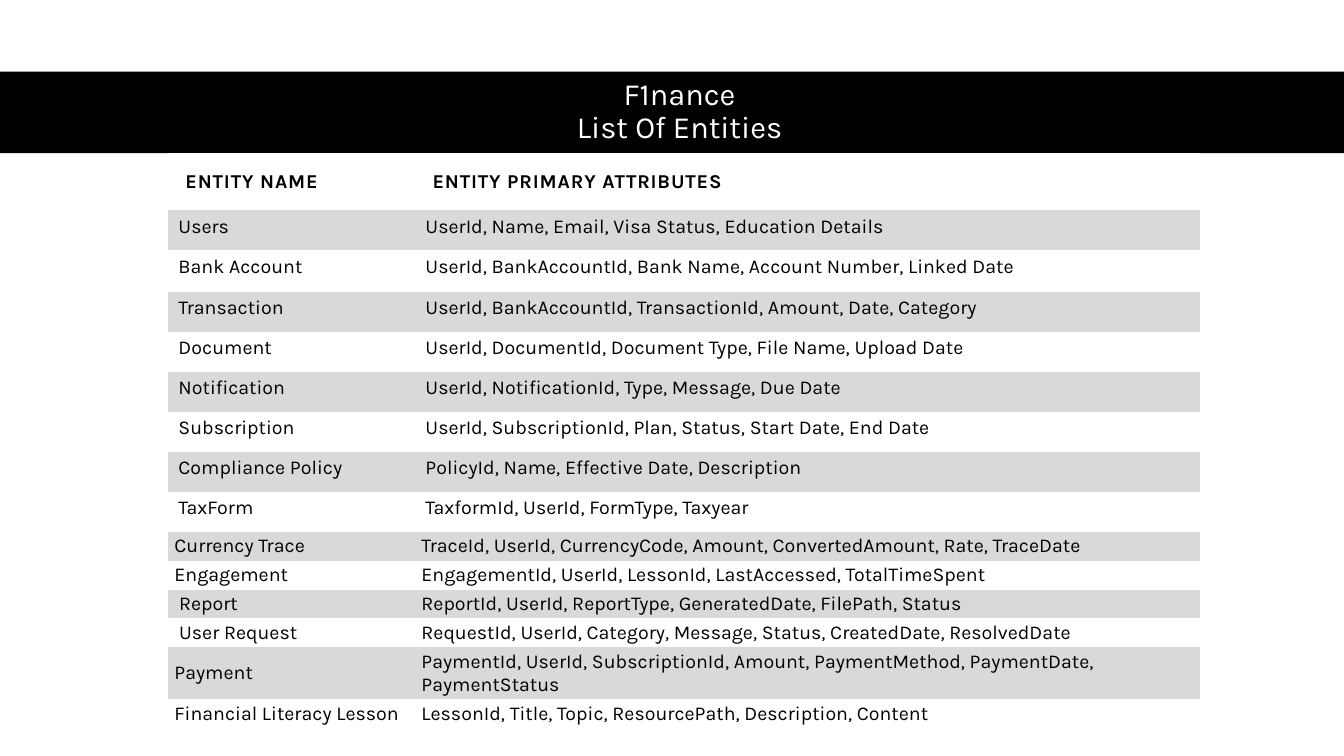
from pptx import Presentation
from pptx.dml.color import RGBColor
from pptx.enum import shapes, text
from pptx.oxml.ns import qn
from pptx.util import Inches, Pt

TITLE = ["F1nance", "List Of Entities"]
HEADER = ("ENTITY NAME", "ENTITY PRIMARY ATTRIBUTES")
CORE_ENTITIES = [
    ("Users", "UserId, Name, Email, Visa Status, Education Details"),
    ("Bank Account", "UserId, BankAccountId, Bank Name, Account Number, Linked Date"),
    ("Transaction", "UserId, BankAccountId, TransactionId, Amount, Date, Category"),
    ("Document", "UserId, DocumentId, Document Type, File Name, Upload Date"),
    ("Notification", "UserId, NotificationId, Type, Message, Due Date"),
    ("Subscription", "UserId, SubscriptionId, Plan, Status, Start Date, End Date"),
    ("Compliance Policy", "PolicyId, Name, Effective Date, Description"),
    ("TaxForm", "TaxformId, UserId, FormType, Taxyear"),
]
COMPACT_ENTITIES = [
    ("Currency Trace",
     "TraceId, UserId, CurrencyCode, Amount, ConvertedAmount, Rate, TraceDate"),
    ("Engagement", "EngagementId, UserId, LessonId, LastAccessed, TotalTimeSpent"),
    (" Report", "ReportId, UserId, ReportType, GeneratedDate, FilePath, Status"),
    (" User Request",
     "RequestId, UserId, Category, Message, Status, CreatedDate, ResolvedDate"),
    ("Payment",
     "PaymentId, UserId, SubscriptionId, Amount, PaymentMethod, PaymentDate, PaymentStatus"),
    ("Financial Literacy Lesson",
     "LessonId, Title, Topic, ResourcePath, Description, Content"),
]
COLUMN_WIDTHS = [2.45, 7.78]
ROW_HEIGHTS = [0.42, 0.34, 0.41] + [0.34] * 6 + [0.28] * 4 + [0.45, 0.25]

# Cell margins (left, top, right, bottom) and vertical anchor for each group
TOP, MIDDLE = text.MSO_ANCHOR.TOP, text.MSO_ANCHOR.MIDDLE
HEADER_CELL = ((0.17, 0.17, 0.17, 0.17), TOP)
CORE_CELL = ((0.1, 0.05, 0.1, 0.12), TOP)
COMPACT_CELL = ((0.06, 0.03, 0.06, 0.03), MIDDLE)

FONT = "Karla"
BLACK = RGBColor(0x00, 0x00, 0x00)
WHITE = RGBColor(0xFF, 0xFF, 0xFF)
GREY = RGBColor(0xD9, 0xD9, 0xD9)
NO_GRID_STYLE = "{2D5ABB26-0587-4C30-8999-92F81FD0307C}"
SLIDE_WIDTH, BAND_TOP, BAND_HEIGHT = 13.33, 0.71, 0.81


def add_text(p, content, size=14, color=BLACK, bold=False, spacing=0):
    """Append a run; spacing is the letter spacing in points."""
    r = p.add_run()
    r.text = content
    r.font.name, r.font.size, r.font.bold = FONT, Pt(size), bold
    r.font.color.rgb = color
    if spacing:
        r.font._element.set("spc", str(round(spacing * 100)))


def add_title(s):
    band = s.shapes.add_shape(shapes.MSO_SHAPE.RECTANGLE, 0, Inches(BAND_TOP),
                              Inches(SLIDE_WIDTH), Inches(BAND_HEIGHT))
    band.shadow.inherit = False
    band.fill.solid()
    band.fill.fore_color.rgb = BLACK
    band.line.fill.background()

    title = s.shapes.title
    title._element.addprevious(band._element)  # band goes behind the title
    title.left, title.top = Inches(0.61), Inches(BAND_TOP)
    title.width, title.height = Inches(12.26), Inches(BAND_HEIGHT)
    tf = title.text_frame
    tf.auto_size = text.MSO_AUTO_SIZE.NONE
    tf.vertical_anchor = MIDDLE
    p = tf.paragraphs[0]
    p.alignment, p.line_spacing = text.PP_ALIGN.CENTER, 0.9
    for i, line in enumerate(TITLE):
        if i:
            p.add_line_break()
        add_text(p, line, size=22, color=WHITE)


def add_entity_table(s):
    rows = [(HEADER, HEADER_CELL)]
    rows += [(entity, CORE_CELL) for entity in CORE_ENTITIES]
    rows += [(entity, COMPACT_CELL) for entity in COMPACT_ENTITIES]

    frame = s.shapes.add_table(len(rows), len(COLUMN_WIDTHS), Inches(1.67),
                               Inches(BAND_TOP + BAND_HEIGHT), Inches(10.22), Inches(5.74))
    frame._element.find(".//" + qn("a:tableStyleId")).text = NO_GRID_STYLE
    table = frame.table
    table.first_row = table.horz_banding = False
    for column, width in zip(table.columns, COLUMN_WIDTHS):
        column.width = Inches(width)

    for i, (entity, (margins, anchor)) in enumerate(rows):
        table.rows[i].height = Inches(ROW_HEIGHTS[i])
        for cell, content in zip(table.rows[i].cells, entity):
            (cell.margin_left, cell.margin_top,
             cell.margin_right, cell.margin_bottom) = map(Inches, margins)
            cell.vertical_anchor = anchor
            cell.fill.solid()
            cell.fill.fore_color.rgb = GREY if i % 2 else WHITE
            add_text(cell.text_frame.paragraphs[0], content,
                     bold=i == 0, spacing=0 if i else 0.6)


def main():
    prs = Presentation()
    prs.slide_width, prs.slide_height = Inches(SLIDE_WIDTH), Inches(7.5)
    s = prs.slides.add_slide(prs.slide_layouts[5])
    add_title(s)
    add_entity_table(s)
    prs.save("out.pptx")


if __name__ == "__main__":
    main()
